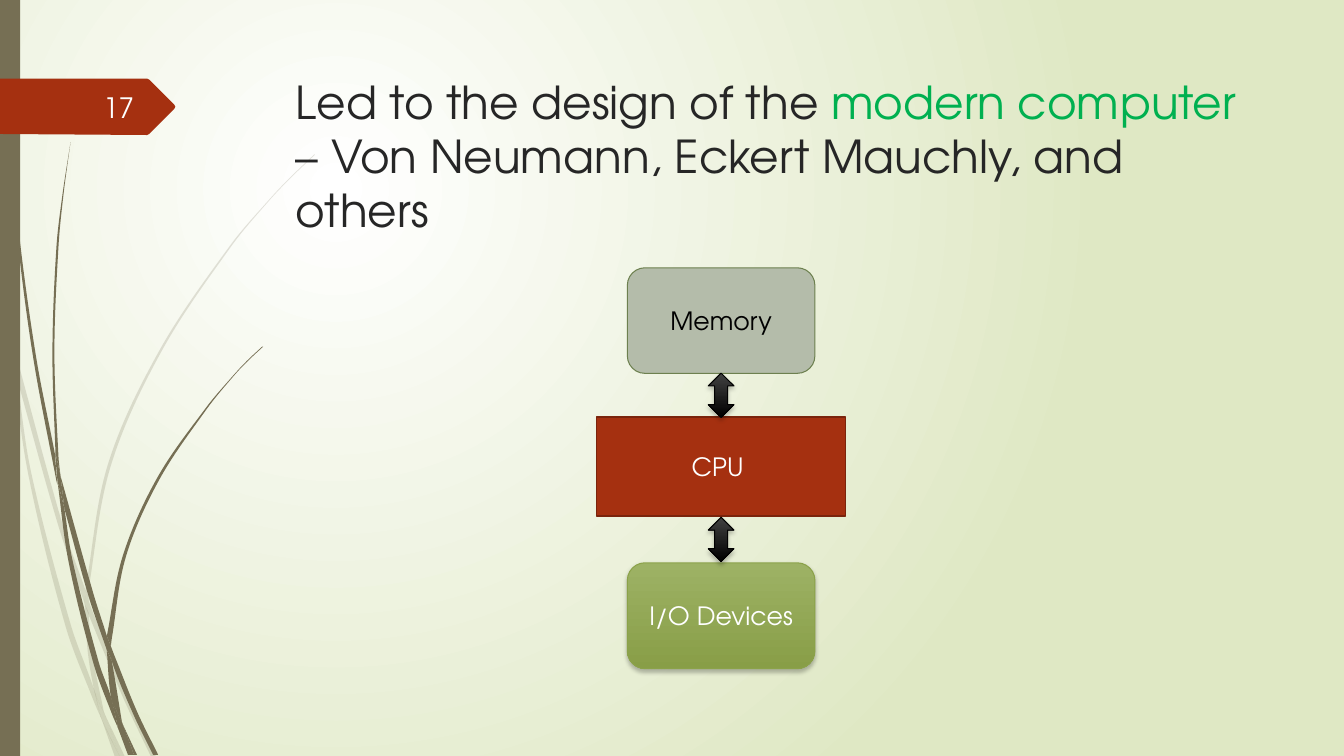
from math import hypot

from lxml import etree
from pptx import Presentation
from pptx.dml.color import RGBColor
from pptx.enum.shapes import MSO_SHAPE
from pptx.enum.text import MSO_ANCHOR, MSO_AUTO_SIZE, PP_ALIGN
from pptx.oxml.ns import qn
from pptx.util import Pt

RECTANGLE, ROUNDED = MSO_SHAPE.RECTANGLE, MSO_SHAPE.ROUNDED_RECTANGLE
DOUBLE_ARROW = MSO_SHAPE.UP_DOWN_ARROW
TOP, MIDDLE = MSO_ANCHOR.TOP, MSO_ANCHOR.MIDDLE
LEFT, CENTER, RIGHT = PP_ALIGN.LEFT, PP_ALIGN.CENTER, PP_ALIGN.RIGHT

FONT = "TeX Gyre Adventor"
COLORS = {
    "white": "FFFFFF", "black": "000000", "ink": "262626", "green": "00B050",
    "wash": "DFE8C4", "stem": "766F54", "rust": "A53010", "rust_line": "7A240C",
    "sage": "B4BCAA", "sage_line": "6D804F", "charcoal": "414141",
    "leaf_light": "9DB265", "leaf_dark": "889E47", "leaf_line": "8BA249",
    "number": "FEFFFF",
}

TITLE = [
    ("Led to the design of the ", "ink"),
    ("modern computer ", "green"),
    ("– Von Neumann, Eckert Mauchly, and others", "ink"),
]
SLIDE_NUMBER = "17"

# Text, text colour, shape, top, width, height, fill, line, line width, shadow
BLOCKS = [
    ("Memory", "black", ROUNDED, 191.3, 134, 75.4, ["sage"], "sage_line", 0.75, False),
    ("CPU ", "white", RECTANGLE, 298.1, 177.8, 70.5, ["rust"], "rust_line", 1.25, False),
    ("I/O Devices", "white", ROUNDED, 402, 134, 75.6,
     ["leaf_light", "leaf_dark"], "leaf_line", 0.75, True),
]
DIAGRAM_CENTER = 515.1
ARROW_WIDTH, ARROW_HEIGHT = 18.4, 31.7

# Outlines are lists of smooth edges, on a grid of GRID points
GRID = 0.72
PALE_STEMS = [
    [[(11, 350), (9, 322), (0, 282)], [(0, 299), (10, 344)]],
    [[(17, 376), (58, 522), (84, 599)], [(85, 586), (62, 520), (14, 345)]],
    [[(88, 610), (123, 694), (150, 751)], [(155, 751), (127, 692), (92, 607), (88, 596)]],
    [[(105, 711), (119, 751)], [(124, 751)]],
    [[(11, 350), (28, 470), (65, 621), (92, 693), (101, 714)],
     [(99, 707), (93, 683), (70, 619), (31, 469), (17, 376)]],
    [[(84, 599), (87, 646), (93, 683), (96, 692), (105, 711)],
     [(103, 706), (91, 646), (88, 610), (88, 608)]],
    [[(88, 596), (88, 584), (110, 462), (160, 349), (229, 245), (268, 198), (290, 175),
      (312, 154)],
     [(312, 153), (289, 175), (268, 197), (228, 244), (158, 348), (107, 461), (85, 584),
      (85, 586)]],
    [[(101, 714), (114, 751)], [(119, 751)]],
    [[(88, 610), (88, 596)], [(85, 586), (84, 599)]],
    [[(93, 683), (99, 707), (101, 714), (119, 751)], [(105, 711), (96, 692)]],
]
DARK_STEMS = [
    [[(3, 0), (4, 48), (7, 110), (17, 233), (33, 355), (56, 477), (57, 481)],
     [(55, 457), (55, 453), (36, 355), (19, 232), (8, 109), (5, 48), (4, 0)]],
    [[(64, 505), (88, 592), (106, 645)], [(106, 633), (106, 631), (93, 590), (60, 472)]],
    [[(110, 641), (111, 656), (132, 708), (152, 749)], [(157, 749), (136, 706), (113, 649)]],
    [[(57, 477), (68, 557), (93, 659), (111, 708), (117, 722)],
     [(116, 717), (110, 691), (98, 657), (72, 556), (64, 505)]],
    [[(60, 472), (58, 453), (54, 349), (58, 245), (63, 193), (70, 141)],
     [(70, 141), (62, 193), (56, 245), (52, 349), (55, 449)]],
    [[(122, 719), (133, 749)], [(136, 749)]],
    [[(55, 449), (55, 453), (57, 477)], [(64, 505), (60, 472)]],
    [[(110, 641), (111, 633), (125, 552), (158, 476), (205, 406), (231, 374), (245, 359),
      (261, 344)],
     [(260, 344), (245, 358), (231, 373), (204, 405), (156, 474), (122, 551), (106, 631)]],
    [[(117, 722), (127, 749)], [(131, 749)]],
    [[(106, 645), (110, 691), (116, 706), (122, 719)], [(121, 716), (111, 656), (109, 651)]],
    [[(106, 645), (109, 651), (111, 656)], [(110, 641), (106, 631)]],
    [[(110, 691), (116, 717), (117, 722), (130, 749)], [(133, 749), (122, 719), (116, 706)]],
]
BADGE = [[(0, 78), (146, 78)], [(148, 79), (173, 104)], [(174, 106)],
         [(173, 108), (148, 133)], [(146, 134), (0, 133)]]


def color(name):
    return RGBColor.from_string(COLORS[name])


def paint(fill, names):
    """Fill with one colour, or with a top-to-bottom gradient of two."""
    if len(names) == 1:
        fill.solid()
        fill.fore_color.rgb = color(names[0])
        return
    fill.gradient()
    fill.gradient_angle = 270
    for stop, name, position in zip(fill.gradient_stops, names, (0, 1)):
        stop.color.rgb = color(name)
        stop.position = position


def style(shape, fill, line=None, line_width=0.75, shadow=False):
    shape.shadow.inherit = False
    paint(shape.fill, fill)
    if line:
        shape.line.color.rgb = color(line)
        shape.line.width = Pt(line_width)
    else:
        shape.line.fill.background()
    if shadow:
        effects = shape._element.spPr.find(qn("a:effectLst"))
        outer = etree.SubElement(effects, qn("a:outerShdw"), blurRad=str(Pt(3)),
                                 dist=str(Pt(2)), dir="5400000", rotWithShape="0")
        tone = etree.SubElement(outer, qn("a:srgbClr"), val=COLORS["black"])
        etree.SubElement(tone, qn("a:alpha"), val="25000")


def write(shape, runs, size, alignment, anchor):
    frame = shape.text_frame
    frame.word_wrap = True
    frame.auto_size = MSO_AUTO_SIZE.NONE
    frame.vertical_anchor = anchor
    paragraph = frame.paragraphs[0]
    paragraph.alignment = alignment
    for text, name in runs:
        run = paragraph.add_run()
        run.text = text
        run.font.name = FONT
        run.font.size = Pt(size)
        run.font.color.rgb = color(name)


def add_preset(slide, kind, left, top, width, height):
    return slide.shapes.add_shape(kind, Pt(left), Pt(top), Pt(width), Pt(height))


def handle(point, start, end, reach):
    """Move a point along the direction from start to end."""
    dx, dy = end[0] - start[0], end[1] - start[1]
    scale = reach / (hypot(dx, dy) or 1)
    return point[0] + dx * scale, point[1] + dy * scale


def curve_points(edge):
    """Give two handles and an end point for each stretch of an edge."""
    padded = [edge[0], *edge, edge[-1]]
    points = []
    for before, start, end, after in zip(padded, padded[1:], padded[2:], padded[3:]):
        reach = hypot(end[0] - start[0], end[1] - start[1]) / 3
        points += [handle(start, before, end, reach), handle(end, after, start, reach), end]
    return points


def add_outline(slide, edges, fill, opacity=100):
    points = [edges[0][0]]
    for edge in edges:
        if edge is not edges[0]:
            points += curve_points([points[-1], edge[0]])
        points += curve_points(edge)
    points = [(Pt(x * GRID), Pt(y * GRID)) for x, y in points]
    builder = slide.shapes.build_freeform(*points[0])
    builder.add_line_segments(points[1:], close=True)
    shape = builder.convert_to_shape()
    lines = list(shape._element.iter(qn("a:lnTo")))
    for first in range(0, len(lines), 3):
        curve = etree.Element(qn("a:cubicBezTo"))
        lines[first].addprevious(curve)
        for line in lines[first:first + 3]:
            curve.append(line[0])
            line.getparent().remove(line)
    style(shape, [fill])
    if opacity < 100:
        tone = shape._element.spPr.find(qn("a:solidFill"))[0]
        etree.SubElement(tone, qn("a:alpha"), val=str(opacity * 1000))


def paint_background(slide):
    paint(slide.background.fill, ["white", "wash"])
    linear = next(slide.element.iter(qn("a:lin")))
    circle = etree.Element(qn("a:path"), path="circle")
    etree.SubElement(circle, qn("a:fillToRect"), l="50000", t="50000", r="100000", b="100000")
    linear.getparent().replace(linear, circle)


def add_diagram(slide):
    bottom = None
    for text, text_color, kind, top, width, height, *look in BLOCKS:
        shape = add_preset(slide, kind, DIAGRAM_CENTER - width / 2, top, width, height)
        style(shape, *look)
        write(shape, [(text, text_color)], 18, CENTER, MIDDLE)
        if bottom:
            arrow = add_preset(slide, DOUBLE_ARROW, DIAGRAM_CENTER - ARROW_WIDTH / 2,
                               (bottom + top - ARROW_HEIGHT) / 2, ARROW_WIDTH, ARROW_HEIGHT)
            style(arrow, ["charcoal", "black"], "black", shadow=True)
        bottom = top + height


def main():
    presentation = Presentation()
    presentation.slide_width, presentation.slide_height = Pt(960), Pt(540)
    slide = presentation.slides.add_slide(presentation.slide_layouts[5])
    paint_background(slide)
    for stems, opacity in ((PALE_STEMS, 20), (DARK_STEMS, 100)):
        for edges in stems:
            add_outline(slide, edges, "stem", opacity)
    style(add_preset(slide, RECTANGLE, 0, 0, 14.4, 540), ["stem"])
    add_outline(slide, BADGE, "rust")
    number = slide.shapes.add_textbox(Pt(41.8), Pt(62), Pt(61.2), Pt(28.8))
    write(number, [(SLIDE_NUMBER, "number")], 20, RIGHT, MIDDLE)
    title = slide.shapes.title
    title.left, title.top, title.width, title.height = Pt(204.2), Pt(49), Pt(702), Pt(100.8)
    write(title, TITLE, 32.4, LEFT, TOP)
    slide.shapes._spTree.append(title._element)
    add_diagram(slide)
    presentation.save("out.pptx")


if __name__ == "__main__":
    main()
